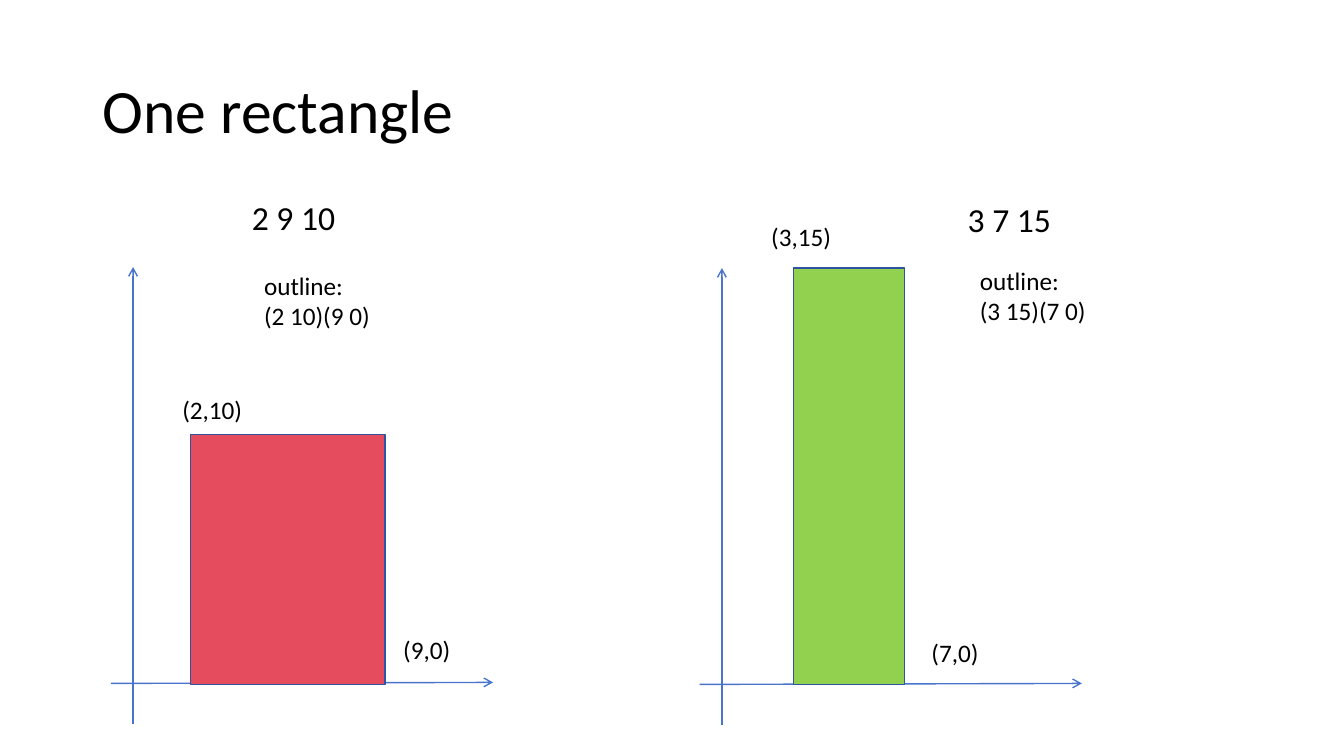
from dataclasses import dataclass

import lxml.etree
import pptx
import pptx.dml.color
import pptx.enum.shapes
import pptx.enum.text
import pptx.oxml.ns
import pptx.util

Inches = pptx.util.Inches
BLACK, AXIS_BLUE, EDGE_BLUE = "000000", "4874CB", "2E54A1"


@dataclass
class Label:
    lines: list[str]
    left: float
    top: float
    width: float
    height: float
    size: int = 18


@dataclass
class Plot:
    left: float
    axis_bottom: float
    bar: tuple[float, float, float, float]
    fill: str
    labels: list[Label]


def color(value: str) -> pptx.dml.color.RGBColor:
    return pptx.dml.color.RGBColor.from_string(value)


def draw_label(page, label: Label):
    box = page.shapes.add_textbox(Inches(label.left), Inches(label.top),
                                  Inches(label.width), Inches(label.height))
    frame = box.text_frame
    frame.word_wrap = True
    frame.text = "\n".join(label.lines)
    for para in frame.paragraphs:
        para.font.name = "Calibri"
        para.font.size = pptx.util.Pt(label.size)
        para.font.color.rgb = color(BLACK)
    return frame


def draw_arrow(page, start: tuple[float, float], end: tuple[float, float]) -> None:
    arrow = page.shapes.add_connector(pptx.enum.shapes.MSO_CONNECTOR.STRAIGHT,
                                      *map(Inches, start + end))
    arrow.line.color.rgb = color(AXIS_BLUE)
    arrow.line.width = pptx.util.Pt(1)
    qn = pptx.oxml.ns.qn
    lxml.etree.SubElement(arrow.line._get_or_add_ln(), qn("a:tailEnd"), type="arrow")
    lxml.etree.SubElement(arrow._element.spPr, qn("a:effectLst"))


def draw_bar(page, place: tuple[float, float, float, float], fill: str) -> None:
    bar = page.shapes.add_shape(pptx.enum.shapes.MSO_SHAPE.RECTANGLE, *map(Inches, place))
    bar.shadow.inherit = False
    bar.fill.solid()
    bar.fill.fore_color.rgb = color(fill)
    bar.line.color.rgb = color(EDGE_BLUE)
    bar.line.width = pptx.util.Pt(1)


def draw_plot(page, plot: Plot) -> None:
    # Axes first, so that the bar covers the horizontal one
    left, bottom = plot.left, plot.axis_bottom
    draw_arrow(page, (left, bottom - 0.4), (left + 3.79, bottom - 0.41))
    draw_arrow(page, (left + 0.22, bottom), (left + 0.22, bottom - 4.53))
    draw_bar(page, plot.bar, plot.fill)
    for label in plot.labels:
        draw_label(page, label)


PLOTS = [
    Plot(1.1, 7.18, (1.89, 4.31, 1.93, 2.48), "E54C5E", [
        Label(["2 9 10"], 2.4, 1.9, 1.27, 0.5, 24),
        Label(["outline:", "(2 10)(9 0)"], 2.52, 2.63, 1.48, 0.71),
        Label(["(2,10)"], 1.71, 3.86, 0.81, 0.4),
        Label(["(9,0)"], 3.9, 6.24, 0.81, 0.4),
    ]),
    Plot(6.94, 7.19, (7.87, 2.66, 1.1, 4.13), "92D050", [
        Label(["3 7 15"], 9.5, 1.92, 1.17, 0.5, 24),
        Label(["outline:", "(3 15)(7 0)"], 9.62, 2.58, 1.77, 0.71),
        Label(["(3,15)"], 7.55, 2.15, 0.81, 0.4),
        Label(["(7,0)"], 9.14, 6.27, 0.81, 0.4),
    ]),
]


def main() -> None:
    deck = pptx.Presentation()
    deck.slide_width, deck.slide_height = Inches(13.33), Inches(7.5)
    page = deck.slides.add_slide(deck.slide_layouts[6])

    # Title
    title = draw_label(page, Label(["One rectangle"], 0.92, 0.4, 11.5, 1.45, 44))
    title.vertical_anchor = pptx.enum.text.MSO_ANCHOR.MIDDLE
    title.paragraphs[0].line_spacing = 0.9

    # The two plots
    for plot in PLOTS:
        draw_plot(page, plot)

    deck.save("out.pptx")


if __name__ == "__main__":
    main()
